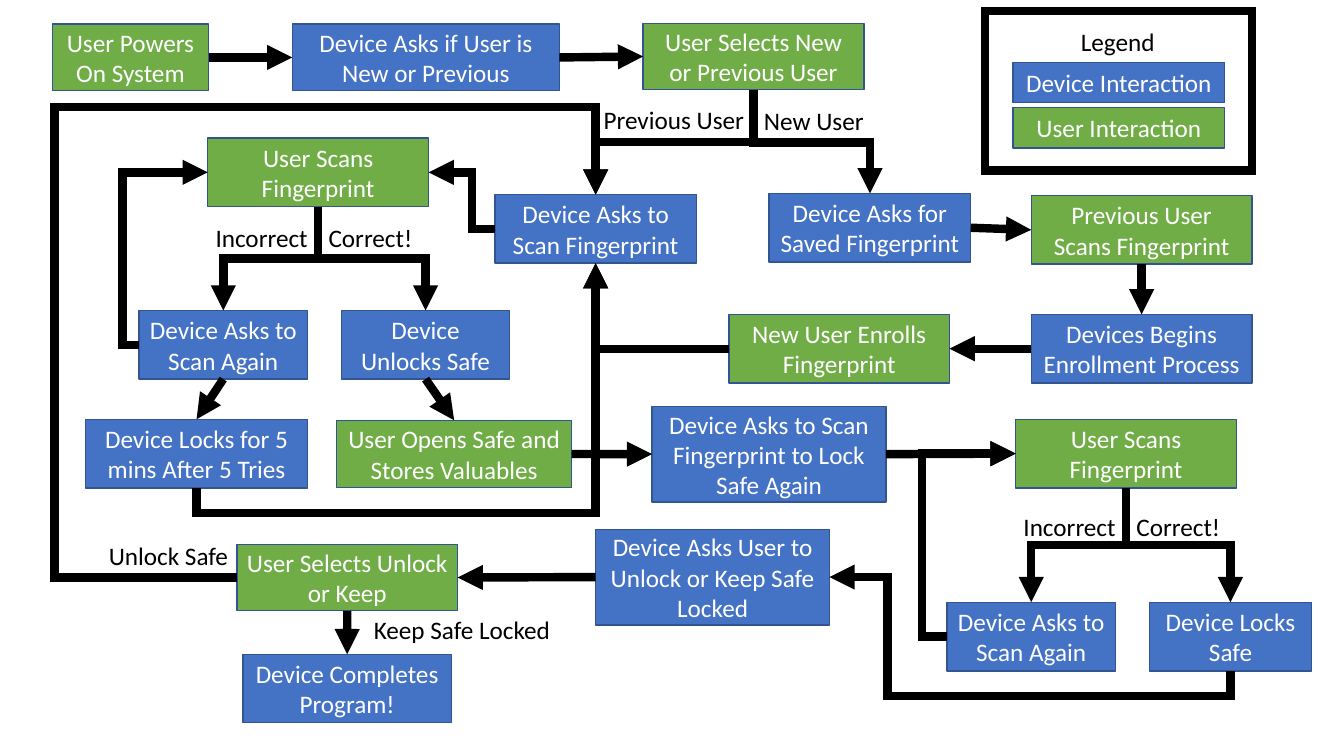
from lxml.etree import SubElement
from pptx import Presentation
from pptx.dml.color import RGBColor
from pptx.enum.shapes import MSO_CONNECTOR as CONNECTOR, MSO_SHAPE as SHAPE
from pptx.enum.text import MSO_ANCHOR as ANCHOR, MSO_AUTO_SIZE as FIT, PP_ALIGN as ALIGN
from pptx.oxml.ns import qn
from pptx.util import Pt

COLORS = {"device": "4472C4", "user": "70AD47", "edge": "325491",
          "ink": "000000", "paper": "FFFFFF"}
TOP, LEFT, BOTTOM, RIGHT = range(4)  # connection sites of a rectangle
STEP_HEIGHT, LABEL_HEIGHT = 49, 28.8


def color(name):
    return RGBColor.from_string(COLORS[name])


def style_text(frame, text, ink, align):
    frame.text = text
    paragraph = frame.paragraphs[0]
    paragraph.alignment = align
    font = paragraph.runs[0].font
    font.name, font.size = "Calibri", Pt(18)
    font.color.rgb = color(ink)


def style_line(line, name, width):
    line.color.rgb = color(name)
    line.width = Pt(width)


def miter(shape):
    outline = shape.line._get_or_add_ln()
    SubElement(outline, qn("a:miter"), lim="800000")
    return outline


def rectangle(slide, box, left, top, width, height):
    shape = slide.shapes.add_shape(SHAPE.RECTANGLE, Pt(box[0] + left), Pt(box[1] + top),
                                   Pt(width), Pt(height))
    shape.shadow.inherit = False
    return shape


def step(slide, box, actor, text, left, top, width, height=STEP_HEIGHT):
    shape = rectangle(slide, box, left, top, width, height)
    shape.fill.solid()
    shape.fill.fore_color.rgb = color(actor)
    style_line(shape.line, "edge", 1)
    shape.text_frame.word_wrap = True
    shape.text_frame.vertical_anchor = ANCHOR.MIDDLE
    style_text(shape.text_frame, text, "paper", ALIGN.CENTER)
    return shape


def label(slide, box, text, left, top, width, align=ALIGN.LEFT, wrap=True):
    frame = slide.shapes.add_textbox(Pt(box[0] + left), Pt(box[1] + top),
                                     Pt(width), Pt(LABEL_HEIGHT)).text_frame
    frame.word_wrap = wrap
    frame.auto_size = FIT.SHAPE_TO_FIT_TEXT
    style_text(frame, text, "ink", align)


def turn_elbow(arrow, leaves_sideways):
    """Rotate the elbow so that its first leg leaves the source squarely."""
    x1, y1, x2, y2 = arrow.begin_x, arrow.begin_y, arrow.end_x, arrow.end_y
    dx, dy = x2 - x1, y2 - y1
    if leaves_sideways:
        angle = 180 if dy < 0 else 0
    else:
        angle = 270 if dx > 0 and dy > 0 else 90
    across, down = {0: (dx, dy), 90: (dy, -dx), 180: (-dx, -dy), 270: (-dy, dx)}[angle]
    arrow.begin_x, arrow.end_x = (x1 + x2 - across) // 2, (x1 + x2 + across) // 2
    arrow.begin_y, arrow.end_y = (y1 + y2 - down) // 2, (y1 + y2 + down) // 2
    arrow._element.spPr.find(qn("a:xfrm")).set("rot", str(angle * 60000))


def link(slide, source, leave, target, enter, bends=None):
    """Arrow between two steps; bends are the elbow positions as fractions."""
    kind = CONNECTOR.STRAIGHT if bends is None else CONNECTOR.ELBOW
    arrow = slide.shapes.add_connector(kind, 0, 0, 0, 0)
    arrow.begin_connect(source, leave)
    arrow.end_connect(target, enter)
    properties = arrow._element.spPr
    if bends is not None:
        turn_elbow(arrow, leave in (LEFT, RIGHT))
        geometry = properties.find(qn("a:prstGeom"))
        geometry.set("prst", f"bentConnector{len(bends) + 2}")
        for guide in list(geometry):
            geometry.remove(guide)
        guides = SubElement(geometry, qn("a:avLst"))
        for number, bend in enumerate(bends, 1):
            name = "adj" if len(bends) == 0 else f"adj{number}"
            SubElement(guides, qn("a:gd"), name=name, fmla=f"val {round(bend * 100000)}")
    style_line(arrow.line, "ink", 6)
    SubElement(miter(arrow), qn("a:tailEnd"), type="triangle")
    SubElement(properties, qn("a:effectLst"))


def draw_start(slide, box):
    power = step(slide, box, "user", "User Powers On System", 1.4, 1.3, 111.6, 47.5)
    ask = step(slide, box, "device", "Device Asks if User is New or Previous",
               172.8, 1.3, 190.8, 47.5)
    choice = step(slide, box, "user", "User Selects New or Previous User",
                  423.4, 0.6, 157.7, 47.5)
    label(slide, box, "Previous User", 388.1, 55.3, 128.2)
    label(slide, box, "New User", 502.6, 56, 97.2)
    link(slide, power, RIGHT, ask, LEFT)
    link(slide, ask, RIGHT, choice, LEFT)
    return choice


def draw_enrollment(slide, box):
    saved = step(slide, box, "device", "Device Asks for Saved Fingerprint", 29.4, 2.2, 144)
    scan = step(slide, box, "user", "Previous User Scans Fingerprint", 216.6, 3.7, 157.7)
    begin = step(slide, box, "device", "Devices Begins Enrollment Process",
                 216.6, 88.6, 157.7)
    enroll = step(slide, box, "user", "New User Enrolls Fingerprint", 0.6, 88.6, 157.7)
    link(slide, saved, RIGHT, scan, LEFT)
    link(slide, scan, BOTTOM, begin, TOP)
    link(slide, begin, LEFT, enroll, RIGHT)
    return saved, enroll


def draw_scan_check(slide, box, success, width, label_top, result_top, retry_bend):
    """Fingerprint scan that forks into a retry and a success."""
    scan = step(slide, box, "user", "User Scans Fingerprint", 49, 0, 157.7)
    again = step(slide, box, "device", "Device Asks to Scan Again", 0, result_top, 120.2)
    passed = step(slide, box, "device", success, 144.5, result_top, width)
    label(slide, box, "Incorrect", 47.5, label_top, 91.4)
    label(slide, box, "Correct!", 128.2, label_top, 97.2)
    for result in (again, passed):
        link(slide, scan, BOTTOM, result, TOP, [0.5])
    link(slide, again, LEFT, scan, LEFT, [retry_bend])
    return scan, again, passed


def draw_unlocking(slide, box):
    ask = step(slide, box, "device", "Device Asks to Scan Fingerprint", 293.5, 43, 144)
    scan, again, unlocked = draw_scan_check(
        slide, (box[0] + 39.4, box[1] + 2.6), "Device Unlocks Safe", 120.2, 57, 123.2, -0.245)
    lockout = step(slide, box, "device", "Device Locks for 5 mins After 5 Tries",
                   1.2, 203.5, 158.4)
    store = step(slide, box, "user", "User Opens Safe and Stores Valuables",
                 180.5, 204.2, 167.8, 48.2)
    link(slide, ask, LEFT, scan, RIGHT, [0.343])
    link(slide, again, BOTTOM, lockout, TOP)
    link(slide, unlocked, BOTTOM, store, TOP)
    link(slide, lockout, BOTTOM, ask, BOTTOM, [-0.112])
    return ask, store


def draw_locking(slide, box):
    ask = step(slide, box, "device", "Device Asks to Scan Fingerprint to Lock Safe Again",
               5.8, 0.2, 167, 68.4)
    scan, _, locked = draw_scan_check(
        slide, (box[0] + 216.5, box[1] + 9.5), "Device Locks Safe", 115.9, 62, 130.7, -0.366)
    link(slide, ask, RIGHT, scan, LEFT)
    return ask, locked


def draw_finish(slide, box):
    ask = step(slide, box, "device", "Device Asks User to Unlock or Keep Safe Locked",
               355.5, 0, 167, 68.4)
    choice = step(slide, box, "user", "User Selects Unlock or Keep", 99.2, 10.8, 157.7, 47.5)
    done = step(slide, box, "device", "Device Completes Program!", 103.5, 89.3, 149)
    label(slide, box, "Unlock Safe", 0.6, 4.3, 101.5)
    label(slide, box, "Keep Safe Locked", 189.9, 57.6, 149)
    link(slide, ask, LEFT, choice, RIGHT)
    link(slide, choice, BOTTOM, done, TOP)
    return ask, choice


def draw_legend(slide, box):
    frame = rectangle(slide, box, 0, 0, 190.8, 113.8)
    frame.fill.background()
    style_line(frame.line, "ink", 6)
    miter(frame)
    label(slide, box, "Legend", 61.2, 7.2, 67.7, ALIGN.CENTER, wrap=False)
    for row, actor in enumerate(("device", "user")):
        step(slide, box, actor, f"{actor.title()} Interaction",
             20.2, 36.7 + row * 32.4, 151.2, LABEL_HEIGHT)


deck = Presentation()
deck.slide_width, deck.slide_height = Pt(960), Pt(540)
flow = deck.slides.add_slide(deck.slide_layouts[6])

# Regions
user_choice = draw_start(flow, (36, 16))
ask_saved, enrolled = draw_enrollment(flow, (520, 136))
ask_unlock, stored = draw_unlocking(flow, (60, 96))
ask_lock, safe_locked = draw_locking(flow, (460, 290))
ask_keep, keep_choice = draw_finish(flow, (70, 378))
draw_legend(flow, (703.4, 7.9))

# Arrows between regions
link(flow, user_choice, BOTTOM, ask_unlock, TOP, [0.5])
link(flow, user_choice, BOTTOM, ask_saved, TOP, [0.51])
link(flow, enrolled, LEFT, ask_unlock, BOTTOM, [])
link(flow, stored, RIGHT, ask_lock, LEFT)
link(flow, safe_locked, BOTTOM, ask_keep, RIGHT, [-0.268, 0.855])
link(flow, keep_choice, LEFT, ask_unlock, TOP, [-0.508, 1.229])

deck.save("out.pptx")
